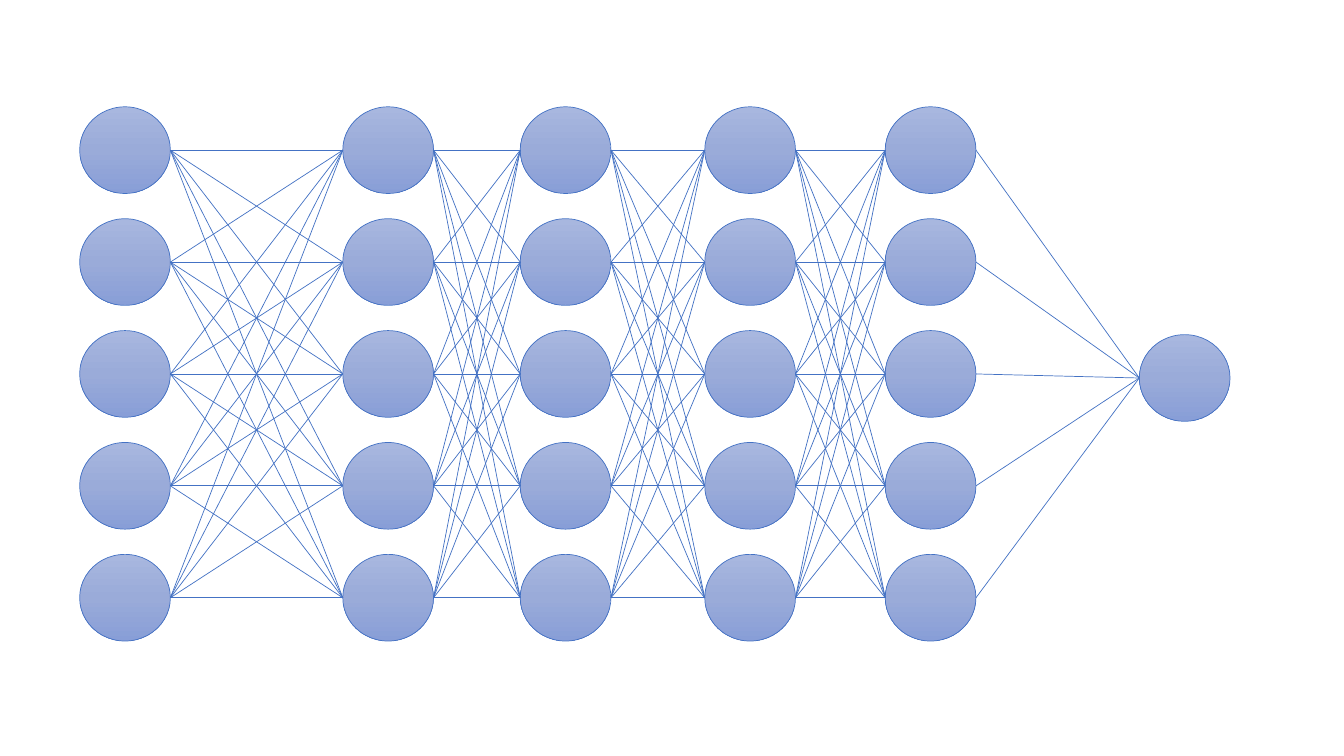
from copy import deepcopy
from itertools import pairwise, product

from pptx import Presentation
from pptx.dml.color import RGBColor
from pptx.enum.shapes import MSO_CONNECTOR, MSO_SHAPE
from pptx.oxml.ns import qn
from pptx.util import Inches, Pt
from lxml import etree

EDGE_BLUE = RGBColor(0x44, 0x72, 0xC4)
NODE_STOPS = [
    (0, RGBColor(0xA8, 0xB7, 0xDF)),
    (0.5, RGBColor(0x9A, 0xAB, 0xD9)),
    (1, RGBColor(0x88, 0x9E, 0xD7)),
]

NODE_W, NODE_H = 0.9, 0.86
LAYER_LEFTS = [0.79, 3.4, 5.16, 6.99, 8.78]
ROW_TOPS = [1.06 + 1.11 * row for row in range(5)]
OUTPUT_LEFT, OUTPUT_TOP = 11.3, 3.32


def style_line(line):
    line.color.rgb = EDGE_BLUE
    line.width = Pt(0.5)


def add_node(s, left, top):
    sp = s.shapes.add_shape(MSO_SHAPE.FLOWCHART_CONNECTOR, Inches(left), Inches(top),
                            Inches(NODE_W), Inches(NODE_H))
    sp.shadow.inherit = False
    style_line(sp.line)

    # Three-stop gradient, light at the top
    sp.fill.gradient()
    sp.fill.gradient_angle = 270
    stop_list = sp.element.spPr.find(f".//{qn('a:gsLst')}")
    stop_list.insert(1, deepcopy(stop_list[0]))
    for stop, (position, color) in zip(sp.fill.gradient_stops, NODE_STOPS):
        stop.position = position
        stop.color.rgb = color
    return sp


def add_edge(s, source, target):
    """Draw a line from the right of one node to the left of another."""
    edge = s.shapes.add_connector(
        MSO_CONNECTOR.STRAIGHT,
        source.left + source.width, source.top + source.height // 2,
        target.left, target.top + target.height // 2)
    style_line(edge.line)
    etree.SubElement(edge.element.spPr, qn("a:effectLst"))


def main():
    prs = Presentation()
    prs.slide_width, prs.slide_height = Inches(13.33), Inches(7.5)
    s = prs.slides.add_slide(prs.slide_layouts[6])

    # Input and hidden layers, then the single output node
    layers = [[add_node(s, left, top) for top in ROW_TOPS] for left in LAYER_LEFTS]
    layers.append([add_node(s, OUTPUT_LEFT, OUTPUT_TOP)])

    # Every node feeds every node of the next layer
    for sources, targets in pairwise(layers):
        for source, target in product(sources, targets):
            add_edge(s, source, target)

    prs.save("out.pptx")


if __name__ == "__main__":
    main()
